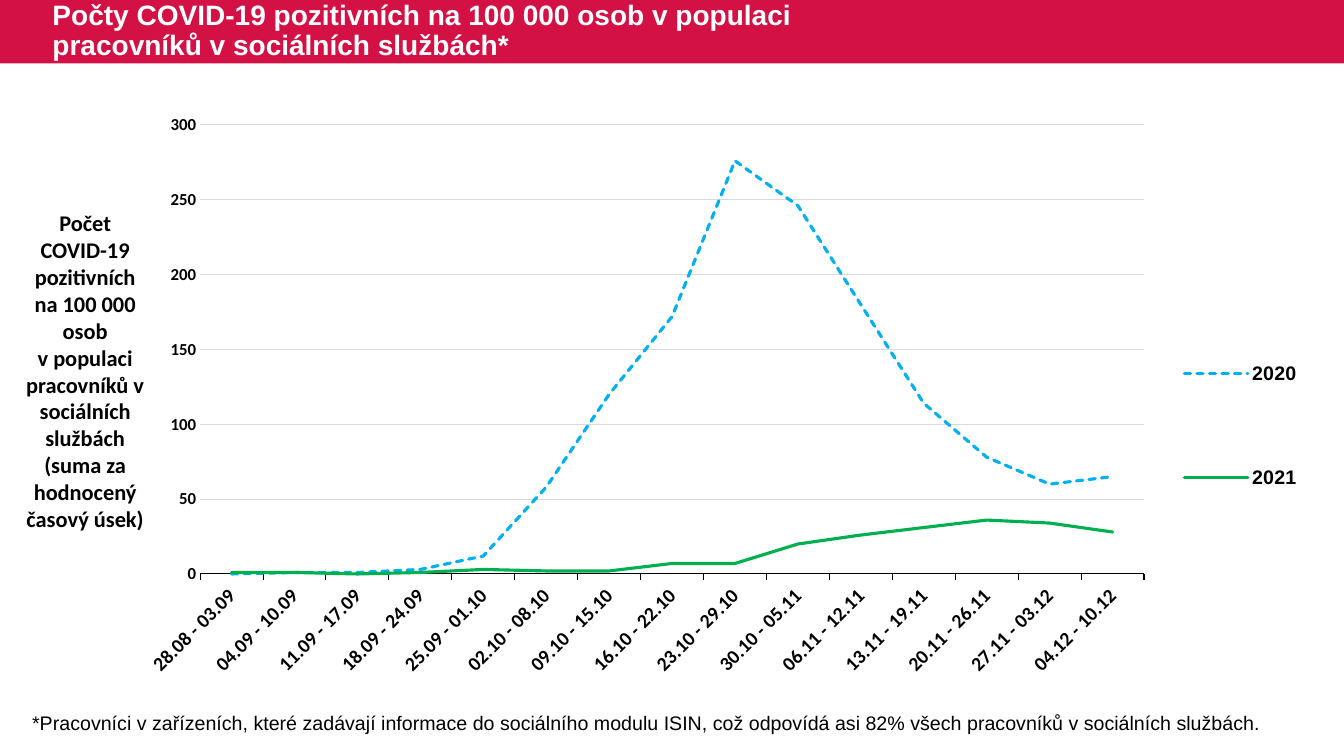
"""Build a slide comparing weekly COVID-19 rates among social service workers."""
from dataclasses import dataclass
from typing import Any, Optional

import lxml.etree
import pptx
import pptx.chart.data
import pptx.dml.color
import pptx.enum.chart
import pptx.enum.dml
import pptx.enum.shapes
import pptx.enum.text
import pptx.oxml
import pptx.oxml.ns
import pptx.util

Inches = pptx.util.Inches
Pt = pptx.util.Pt
RGBColor = pptx.dml.color.RGBColor
Align = pptx.enum.text.PP_ALIGN
Dash = pptx.enum.dml.MSO_LINE

CRIMSON = RGBColor(0xD3, 0x11, 0x45)
WHITE = RGBColor(0xFF, 0xFF, 0xFF)
BLACK = RGBColor(0, 0, 0)
GRID_GRAY = RGBColor(0xD9, 0xD9, 0xD9)
BLUE = RGBColor(0x00, 0xB0, 0xF0)
GREEN = RGBColor(0x00, 0xB0, 0x50)

HARD_SPACE = chr(160)
TITLE = "Počty COVID-19 pozitivních na 100 000 osob v populaci pracovníků v sociálních službách*"
WEEKS = [
    "28.08 - 03.09", "04.09 - 10.09", "11.09 - 17.09", "18.09 - 24.09", "25.09 - 01.10",
    "02.10 - 08.10", "09.10 - 15.10", "16.10 - 22.10", "23.10 - 29.10", "30.10 - 05.11",
    "06.11 - 12.11", "13.11 - 19.11", "20.11 - 26.11", "27.11 - 03.12", "04.12 - 10.12",
]


@dataclass(frozen=True)
class Label:
    text: str
    left: float
    top: float
    width: float
    height: float
    size: int
    font: str
    bold: bool
    alignment: Any


@dataclass(frozen=True)
class Year:
    name: str
    values: tuple[int, ...]
    color: RGBColor
    dash: Optional[Any] = None


LABELS = [
    Label(f"Počet COVID-19 pozitivních na{HARD_SPACE}100{HARD_SPACE}000 osob v{HARD_SPACE}populaci "
          "pracovníků v sociálních službách (suma za hodnocený časový úsek)",
          0.06, 2.03, 1.57, 3.06, 16, "Calibri", True, Align.CENTER),
    Label("*Pracovníci v zařízeních, které zadávají informace do sociálního modulu ISIN, "
          "což odpovídá asi 82% všech pracovníků v sociálních službách.",
          0.22, 7, 12.98, 0.34, 14, "Arial", False, Align.LEFT),
]
YEARS = [
    Year("2020", (0, 1, 1, 3, 12, 58, 120, 172, 276, 246, 180, 114, 78, 60, 65),
         BLUE, Dash.SQUARE_DOT),
    Year("2021", (1, 1, 0, 1, 3, 2, 2, 7, 7, 20, 26, 31, 36, 34, 28), GREEN),
]


def format_font(font: Any, name: str, size: int, color: RGBColor = BLACK,
                bold: bool = True) -> None:
    font.name = name
    font.size = Pt(size)
    font.bold = bold
    font.color.rgb = color


def add_title(slide: Any) -> None:
    band = slide.shapes.add_shape(pptx.enum.shapes.MSO_SHAPE.RECTANGLE,
                                  0, 0, Inches(13.33), Inches(0.63))
    band.shadow.inherit = False
    band.fill.solid()
    band.fill.fore_color.rgb = CRIMSON
    band.line.fill.background()
    title = slide.shapes.title
    band._element.addnext(title._element)
    title.left, title.top = Inches(0.42), Inches(0)
    title.width, title.height = Inches(8.53), Inches(0.63)
    frame = title.text_frame
    frame.text = TITLE
    frame.word_wrap = True
    frame.auto_size = pptx.enum.text.MSO_AUTO_SIZE.NONE
    frame.vertical_anchor = pptx.enum.text.MSO_ANCHOR.MIDDLE
    paragraph = frame.paragraphs[0]
    paragraph.alignment = Align.LEFT
    paragraph.line_spacing = 0.9
    paragraph.space_before = Pt(0)
    format_font(paragraph.runs[0].font, "Arial", 20, WHITE)


def add_label(slide: Any, label: Label) -> None:
    box = slide.shapes.add_textbox(Inches(label.left), Inches(label.top),
                                   Inches(label.width), Inches(label.height))
    frame = box.text_frame
    frame.word_wrap = True
    frame.auto_size = pptx.enum.text.MSO_AUTO_SIZE.SHAPE_TO_FIT_TEXT
    frame.text = label.text
    paragraph = frame.paragraphs[0]
    paragraph.alignment = label.alignment
    format_font(paragraph.runs[0].font, label.font, label.size, bold=label.bold)


def make_layout(x: float, y: float, width: float, height: float, inner: bool = False) -> Any:
    layout = pptx.oxml.parse_xml(f'<c:layout {pptx.oxml.ns.nsdecls("c")}><c:manualLayout/></c:layout>')
    settings = [("layoutTarget", "inner")] if inner else []
    settings += [("xMode", "edge"), ("yMode", "edge"),
                 ("x", x), ("y", y), ("w", width), ("h", height)]
    for tag, value in settings:
        lxml.etree.SubElement(layout[0], pptx.oxml.ns.qn(f"c:{tag}")).set("val", str(value))
    return layout


def add_rate_chart(slide: Any) -> None:
    data = pptx.chart.data.CategoryChartData()
    data.categories = WEEKS
    for year in YEARS:
        data.add_series(year.name, year.values)
    chart = slide.shapes.add_chart(pptx.enum.chart.XL_CHART_TYPE.LINE, Inches(1.46), Inches(1.14),
                                   Inches(11.66), Inches(5.87), data).chart
    chart.has_title = False
    format_font(chart.font, "Arial", 14)
    chart.plots[0].vary_by_categories = False
    for series, year in zip(chart.plots[0].series, YEARS):
        series.smooth = False
        series.marker.style = pptx.enum.chart.XL_MARKER_STYLE.NONE
        series.format.line.color.rgb = year.color
        series.format.line.width = Pt(2.25)
        if year.dash is not None:
            series.format.line.dash_style = year.dash
        series._element.find(".//" + pptx.oxml.ns.qn("a:ln")).set("cap", "rnd")

    week_axis = chart.category_axis
    week_axis.major_tick_mark = pptx.enum.chart.XL_TICK_MARK.OUTSIDE
    week_axis.format.line.color.rgb = BLACK
    week_axis.format.line.width = Pt(0.75)
    format_font(week_axis.tick_labels.font, "Calibri", 14)
    week_axis._element.find(pptx.oxml.ns.qn("c:txPr"))[0].set("rot", "-2700000")

    rate_axis = chart.value_axis
    rate_axis.minimum_scale, rate_axis.maximum_scale, rate_axis.major_unit = 0, 300, 50
    rate_axis.major_tick_mark = pptx.enum.chart.XL_TICK_MARK.NONE
    rate_axis.format.line.fill.background()
    rate_axis.major_gridlines.format.line.color.rgb = GRID_GRAY
    rate_axis.major_gridlines.format.line.width = Pt(0.75)
    format_font(rate_axis.tick_labels.font, "Calibri", 12)

    chart.has_legend = True
    legend = chart.legend
    legend.position = pptx.enum.chart.XL_LEGEND_POSITION.RIGHT
    legend.include_in_layout = False
    format_font(legend.font, "Arial", 14)
    for old_layout in legend._element.findall(pptx.oxml.ns.qn("c:layout")):
        legend._element.remove(old_layout)
    legend._element.find(pptx.oxml.ns.qn("c:legendPos")).addnext(make_layout(0.87, 0.28, 0.12, 0.49))
    plot_area = chart.plots[0]._element.getparent()
    for old_layout in plot_area.findall(pptx.oxml.ns.qn("c:layout")):
        plot_area.remove(old_layout)
    plot_area.insert(0, make_layout(0.045, 0.017, 0.803, 0.759, inner=True))


def main() -> None:
    presentation = pptx.Presentation()
    presentation.slide_width = Inches(13.33)
    presentation.slide_height = Inches(7.5)
    slide = presentation.slides.add_slide(presentation.slide_layouts[5])
    add_title(slide)
    for label in LABELS:
        add_label(slide, label)
    add_rate_chart(slide)
    presentation.save("out.pptx")


if __name__ == "__main__":
    main()
